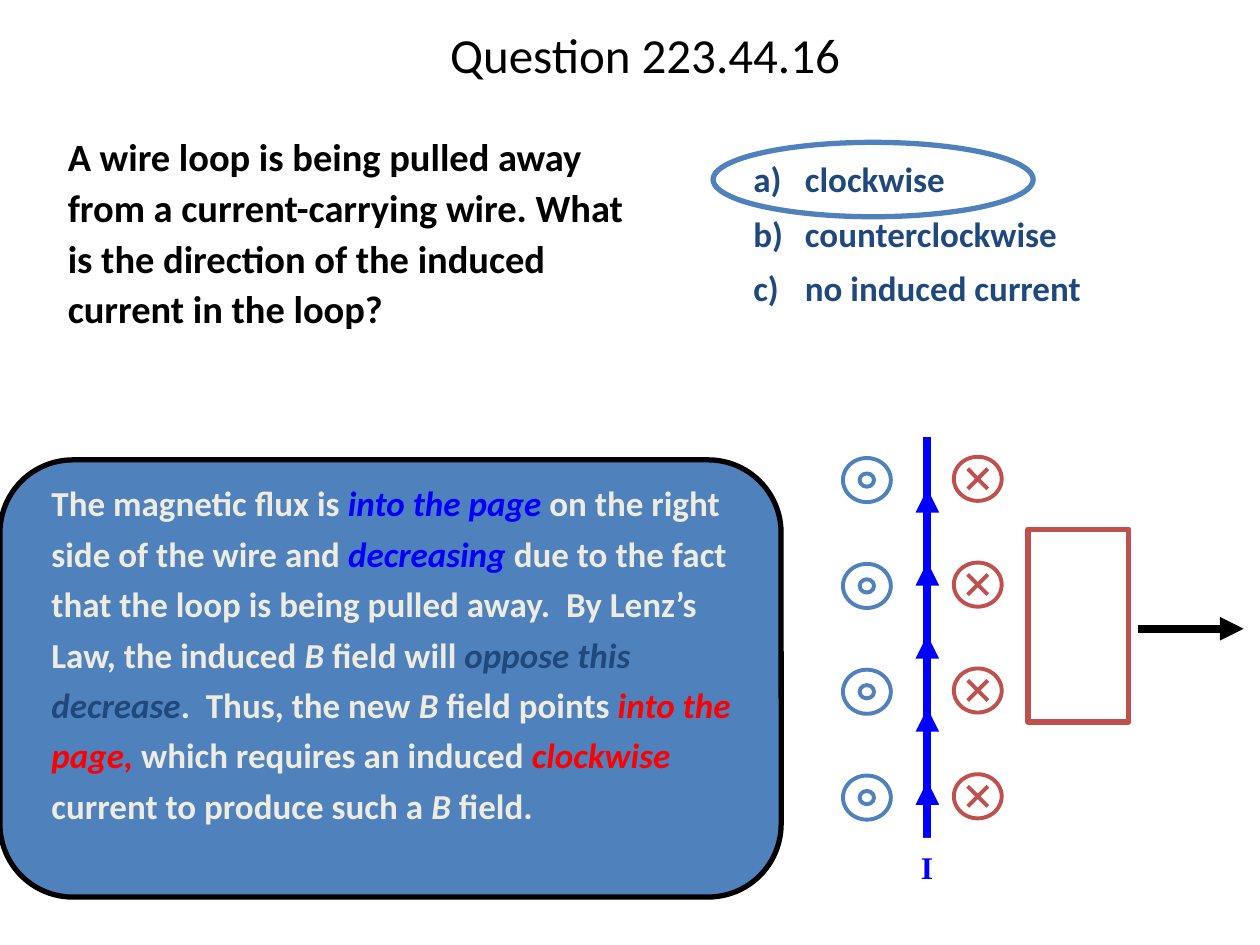
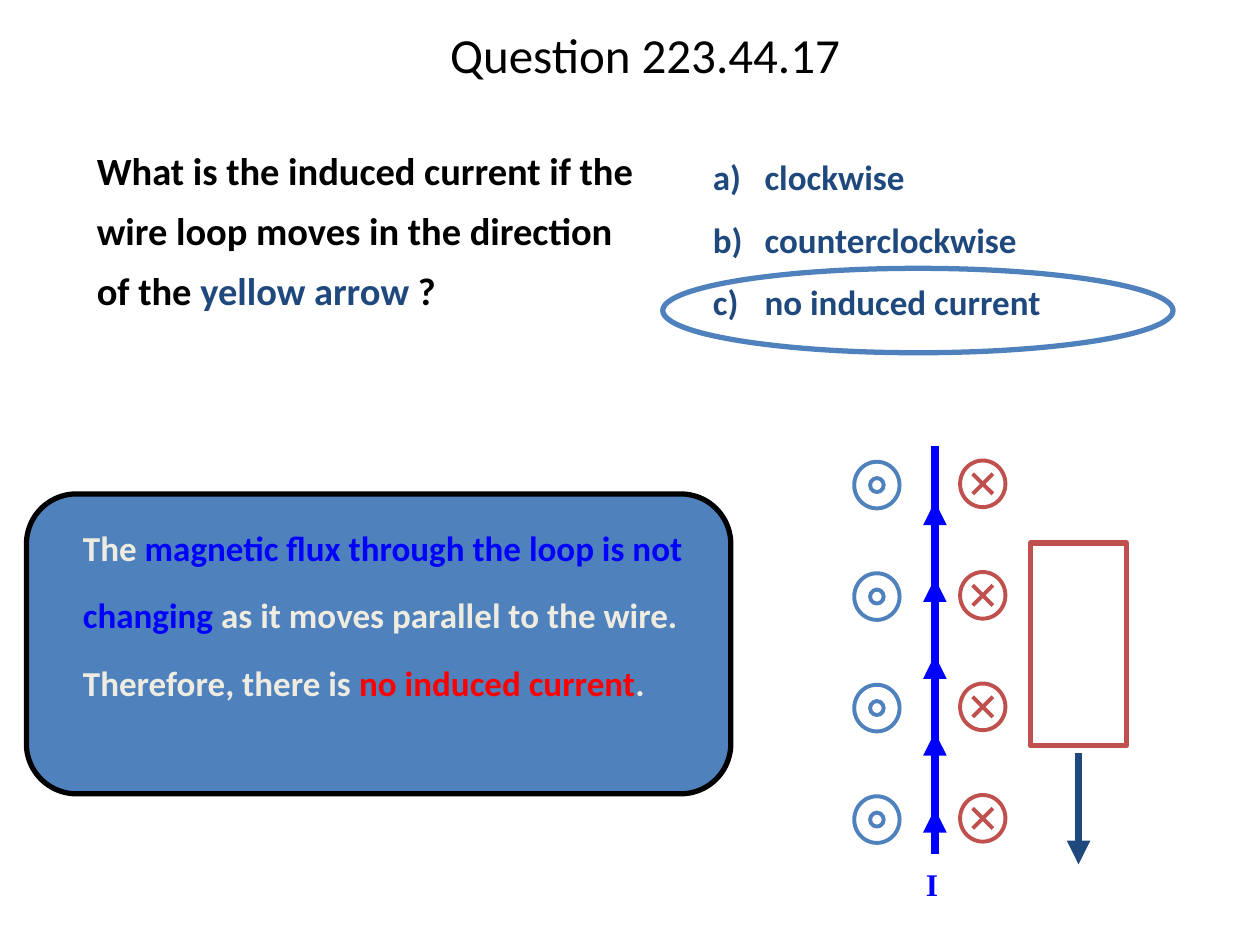
from dataclasses import dataclass

from lxml import etree
from pptx import Presentation
from pptx.dml.color import RGBColor
from pptx.enum import shapes, text
from pptx.oxml.ns import qn
from pptx.util import Inches, Pt


@dataclass(frozen=True)
class Theme:
    black: str = "000000"
    white: str = "FFFFFF"
    cream: str = "EEECE1"
    panel: str = "4F81BD"
    navy: str = "1F497D"
    blue: str = "0000FF"
    red: str = "FF0000"
    brick: str = "C0504D"
    font: str = "Calibri"
    serif: str = "Times New Roman"
    title: int = 28
    ask: int = 22
    note: int = 20
    mark: int = 18
    wire: float = 4.5
    edge: float = 3
    ring: float = 2.25


T = Theme()
KIND = shapes.MSO_SHAPE

# Run styles: colour and italic
LOOKS = {
    "plain": (T.cream, False),
    "field": (T.cream, True),
    "flux": (T.blue, False),
    "flux it": (T.blue, True),
    "oppose": (T.navy, True),
    "answer": (T.red, False),
    "answer it": (T.red, True),
    "ask": (T.black, False),
    "choice": (T.navy, False),
}


def rgb(code):
    return RGBColor.from_string(code)


def put(item, **values):
    for name, value in values.items():
        setattr(item, name, value)


def shape(into, kind, box, fill=None, line=None, width=T.edge):
    item = into.shapes.add_shape(kind, *map(Inches, box))
    item.shadow.inherit = False
    if fill:
        item.fill.solid()
        item.fill.fore_color.rgb = rgb(fill)
    else:
        item.fill.background()
    if line:
        item.line.color.rgb = rgb(line)
        item.line.width = Pt(width)
    else:
        item.line.fill.background()
    return item


def oval(into, mid, size, **style):
    """Draw an ellipse around its centre point."""
    (x, y), (w, h) = mid, size
    return shape(into, KIND.OVAL, (x - w / 2, y - h / 2, w, h), **style)


def line(into, start, end, color, width=T.wire, arrow=False):
    item = into.shapes.add_connector(
        shapes.MSO_CONNECTOR.STRAIGHT, *map(Inches, (*start, *end)))
    item.line.color.rgb = rgb(color)
    item.line.width = Pt(width)
    props = item.element.spPr
    if arrow:
        etree.SubElement(props.find(qn("a:ln")), qn("a:tailEnd"), type="triangle")
    etree.SubElement(props, qn("a:effectLst"))


def words(into, box, paras, size, lead, face=T.font, bold=True, left=0,
          hang=0, gap=0, align=None, anchor=text.MSO_ANCHOR.TOP, wrap=True):
    """Add a text box; each paragraph is a list of (text, look) runs."""
    item = into.shapes.add_textbox(*map(Inches, box))
    frame = item.text_frame
    put(frame, word_wrap=wrap, vertical_anchor=anchor)
    for i, runs in enumerate(paras):
        para = frame.add_paragraph() if i else frame.paragraphs[0]
        props = para._p.get_or_add_pPr()
        props.set("marL", str(Inches(left)))
        props.set("indent", str(Inches(-hang)))
        put(para, line_spacing=lead, space_before=Pt(gap if i else 0), alignment=align)
        for copy, look in runs:
            run = para.add_run()
            run.text = copy
            color, slant = LOOKS[look]
            put(run.font, name=face, size=Pt(size), bold=bold, italic=slant)
            run.font.color.rgb = rgb(color)
    return item


def title(slide, copy):
    words(slide, (0.72, 0, 8.8, 0.92), [[(copy, "ask")]], T.title, 0.9, bold=False,
          align=text.PP_ALIGN.CENTER, anchor=text.MSO_ANCHOR.MIDDLE)


def ask(slide, box, runs, lead):
    words(slide, box, [runs], T.ask, lead, left=0.44)


def choose(slide, box, ring, lead):
    """List the answers and circle the right one."""
    shape(slide, KIND.OVAL, ring, line=T.panel)
    names = ["clockwise", "counterclockwise", "no induced current"]
    paras = [[(f"{key})\t{name}", "choice")] for key, name in zip("abc", names)]
    words(slide, box, paras, T.note, lead, left=0.41, hang=0.41, gap=9.5)


def explain(slide, panel, box, runs, lead):
    shape(slide, KIND.ROUNDED_RECTANGLE, panel, fill=T.panel, line=T.black)
    words(slide, box, [runs], T.note, lead, left=0.31)


def cross(into, mid, size):
    """Field pointing into the page."""
    oval(into, mid, size, fill=T.white, line=T.brick, width=T.ring)
    (x, y), arm = mid, 0.08
    for side in (-arm, arm):
        line(into, (x - arm, y - side), (x + arm, y + side), T.brick, T.ring)


def dot(into, mid, size):
    """Field pointing out of the page."""
    for part in (size, [0.3 * side for side in size]):
        oval(into, mid, part, fill=T.white, line=T.panel, width=T.ring)


def wire(into, x, top, tip, step, span):
    for i in range(5):
        y = tip + i * step
        line(into, (x, y + span), (x, y), T.blue, arrow=True)
    line(into, (x, top + span), (x, top), T.blue)


def scene(slide, back, current, label, loop, pull, size, ins, outs, step):
    """Draw the wire, its field on both sides, and the moving loop."""
    group = slide.shapes.add_group_shape()
    shape(group, KIND.RECTANGLE, back, fill=T.white)
    wire(group, **current)
    mark = words(group, (*label, 0.33, 0.54), [[("I", "flux")]], T.mark, 1.11,
                 face=T.serif, wrap=False)
    mark.fill.solid()
    mark.fill.fore_color.rgb = rgb(T.white)
    shape(group, KIND.RECTANGLE, loop, fill=T.white, line=T.brick)
    line(group, *pull, arrow=True)
    for draw, (x, y) in ((cross, ins), (dot, outs)):
        for i in range(4):
            draw(group, (x, y + i * step), size)


def away(slide):
    explain(slide, (0, 3.65, 6.2, 3.47), (0, 3.71, 6.15, 3.3), [
        ("The magnetic flux is ", "plain"),
        ("into the page", "flux it"),
        (" on the right side of the wire and ", "plain"),
        ("decreasing", "flux it"),
        (" due to the fact that the loop is being pulled away.  By Lenz’s Law, "
         "the induced ", "plain"),
        ("B", "field"),
        (" field will ", "plain"),
        ("oppose this decrease", "oppose"),
        (".  Thus, the new ", "plain"),
        ("B", "field"),
        (" field points ", "plain"),
        ("into the page,", "answer it"),
        (" which requires an induced ", "plain"),
        ("clockwise", "answer it"),
        (" current to produce such a ", "plain"),
        ("B", "field"),
        (" field.", "plain"),
    ], 1.2)
    scene(slide, back=(6.67, 3.4, 3.33, 3.79),
          current=dict(x=7.36, top=3.47, tip=3.88, step=0.58, span=0.67),
          label=(7.21, 6.65), loop=(8.16, 4.2, 0.8, 1.53),
          pull=((9.03, 4.99), (9.87, 4.99), T.black),
          size=(0.38, 0.35), ins=(7.76, 3.8), outs=(6.88, 3.81), step=0.84)
    title(slide, "Question 223.44.16")
    ask(slide, (0, 0.97, 5.07, 1.89), [
        ("A wire loop is being pulled away from a current-carrying wire. "
         "What is the direction of the induced current in the loop?", "ask"),
    ], 1.1)
    choose(slide, (5.88, 1.24, 4.12, 1.34), (5.66, 1.13, 2.54, 0.59), 0.9)


def along(slide):
    explain(slide, (0.21, 3.92, 5.59, 2.38), (0.25, 3.93, 5.42, 2.29), [
        ("The ", "plain"),
        ("magnetic flux through the loop is not changing", "flux"),
        (" as it moves parallel to the wire. Therefore, there is ", "plain"),
        ("no induced current", "answer"),
        (".", "plain"),
    ], 1.6)
    scene(slide, back=(6.71, 3.42, 2.78, 3.92),
          current=dict(x=7.42, top=3.54, tip=3.98, step=0.61, span=0.7),
          label=(7.25, 6.78), loop=(8.18, 4.31, 0.76, 1.61),
          pull=((8.56, 5.98), (8.56, 6.86), T.navy),
          size=(0.36, 0.37), ins=(7.8, 3.84), outs=(6.96, 3.85), step=0.885)
    title(slide, "Question 223.44.17")
    ask(slide, (0.23, 1.01, 5.01, 2.1), [
        ("What is the induced current if the wire loop moves in the direction "
         "of the ", "ask"),
        ("yellow arrow ", "choice"),
        ("?", "ask"),
    ], 1.3)
    choose(slide, (5.56, 1.15, 4.12, 1.53), (5.26, 2.13, 4.05, 0.67), 1.1)


def main():
    deck = Presentation()
    put(deck, slide_width=Inches(10), slide_height=Inches(7.5))
    for build in (away, along):
        build(deck.slides.add_slide(deck.slide_layouts[6]))
    deck.save("out.pptx")


if __name__ == "__main__":
    main()
